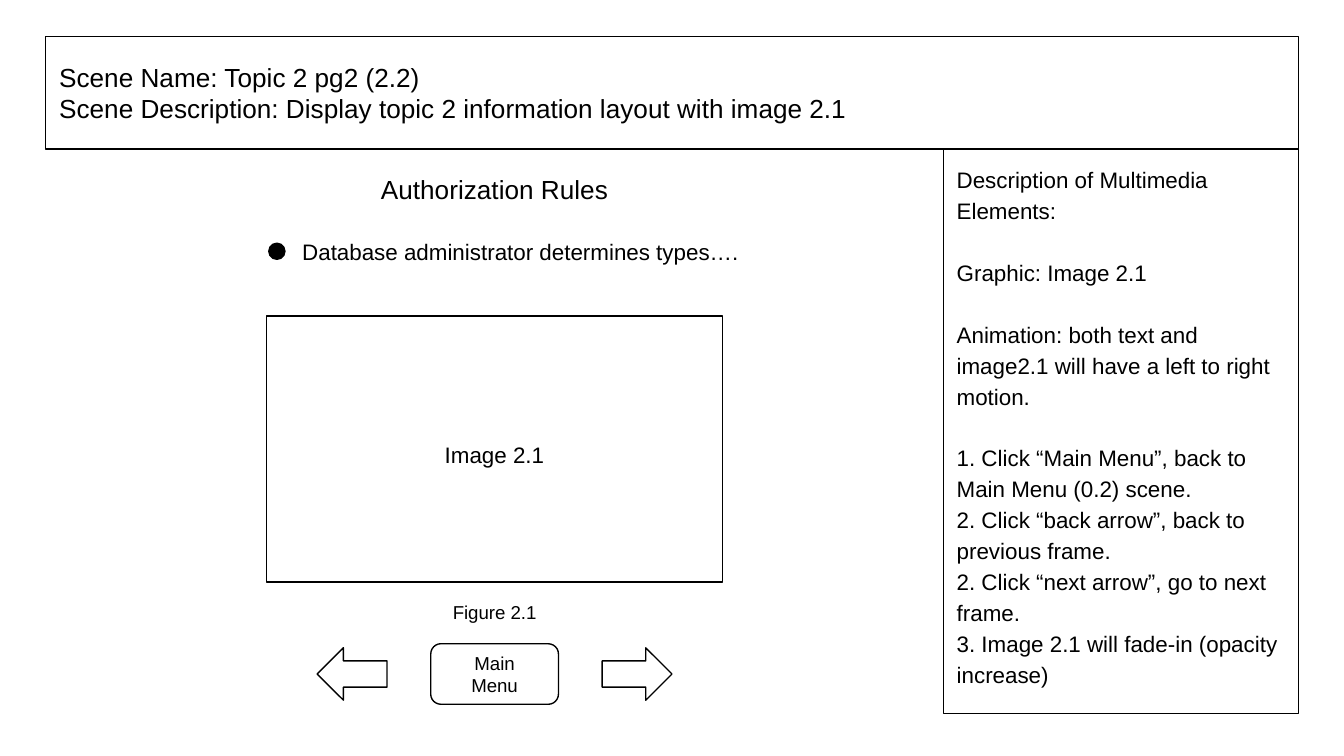
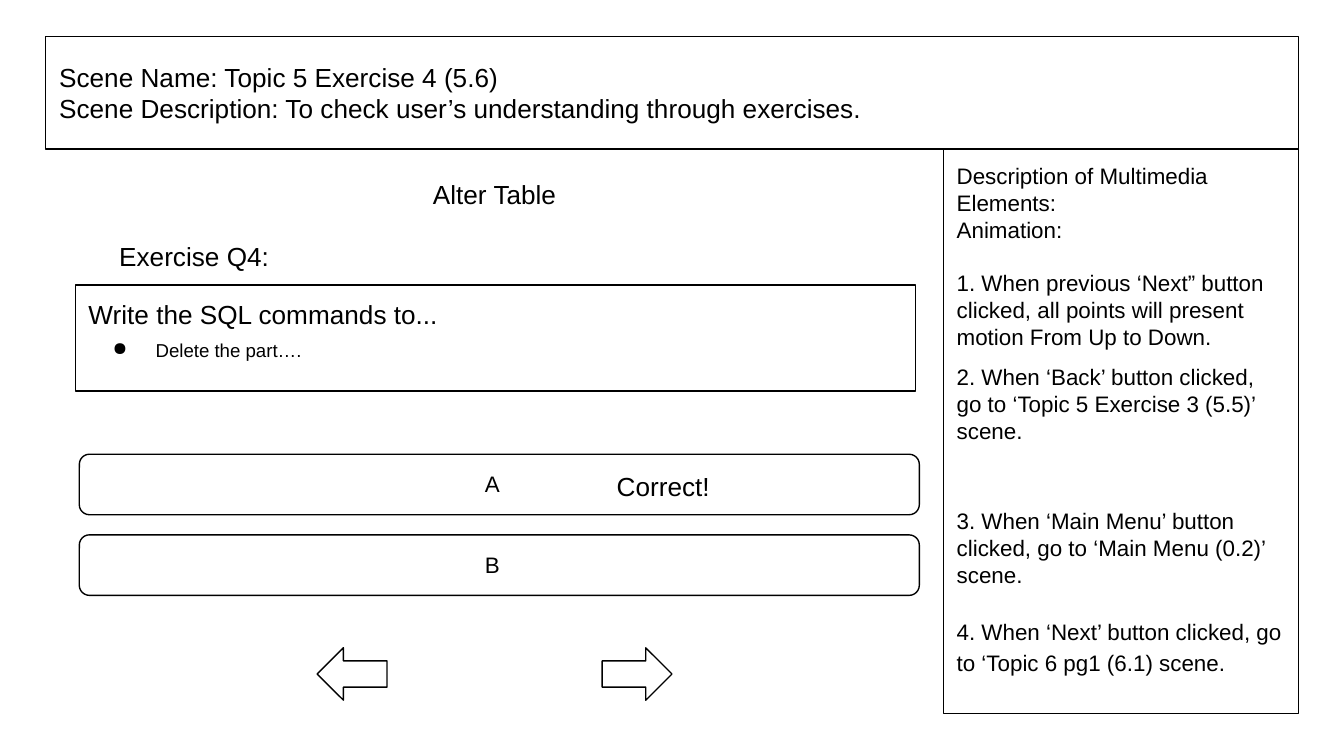
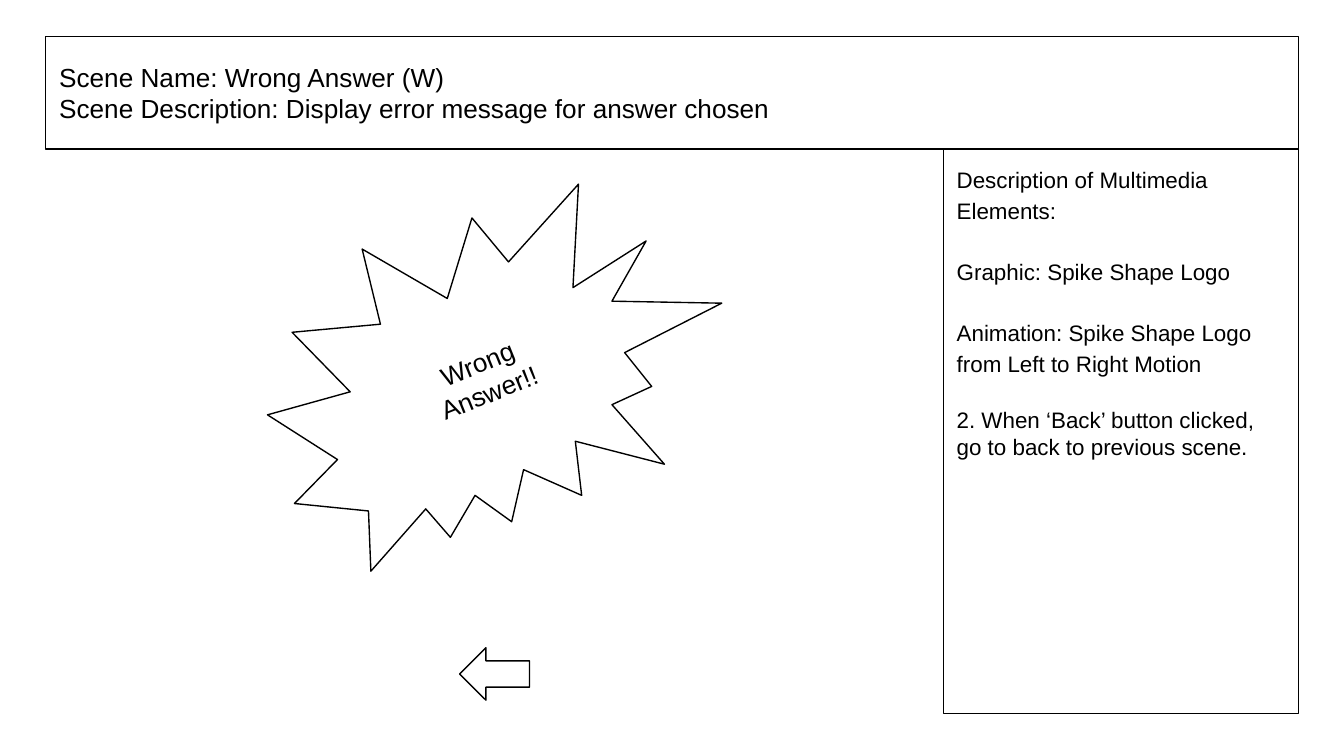
"""Build three storyboard pages that share a scene header, a notes panel and arrow buttons."""
from dataclasses import dataclass

import lxml.etree
import pptx
import pptx.dml.color
import pptx.enum.shapes
import pptx.enum.text
import pptx.oxml.ns
import pptx.util

BLACK = pptx.dml.color.RGBColor(0, 0, 0)
FONT = "Arial"
SLIDE_WIDTH = pptx.util.Inches(10)
SLIDE_HEIGHT = pptx.util.Inches(5.625)
GRID = SLIDE_WIDTH // 100
INSET = GRID
SCENE_SIZE, BODY_SIZE, SMALL_SIZE = 14, 12, 10
LOOSE = 1.15
BLANK_LINE = 16.5
SHORT_GAP, LINE_GAP, LONG_GAP = 7, 14, 34

SHAPE = pptx.enum.shapes.MSO_SHAPE
ALIGN = pptx.enum.text.PP_ALIGN
ANCHOR = pptx.enum.text.MSO_ANCHOR


@dataclass(frozen=True)
class Area:
    """A rectangle in grid columns and rows."""

    left: float
    top: float
    width: float
    height: float


@dataclass(frozen=True)
class Line:
    """A paragraph with its size, space after, line spacing and optional bullet."""

    text: str
    size: float = BODY_SIZE
    after: float = 0
    spacing: float = 1.0
    bullet: str = ""


HEADER = Area(3.4, 2.7, 93.2, 8.4)
PANEL = Area(70.2, 11.1, 26.4, 42)
STAGE_MIDDLE = (HEADER.left + PANEL.left) / 2
ARROW_OFFSET = 10.6
ANSWER_ROWS = {"A": 33.8, "B": 39.8}


def centered(top: float, width: float, height: float, offset: float = 0) -> Area:
    """Return an area centred on the stage, moved sideways by offset."""
    return Area(STAGE_MIDDLE + offset - width / 2, top, width, height)


def place(area: Area) -> list[int]:
    """Convert an area to slide lengths."""
    return [round(value * GRID) for value in (area.left, area.top, area.width, area.height)]


def outline(shape, filled: bool = False) -> None:
    """Give a shape a thin black line and a black or empty fill."""
    if filled:
        shape.fill.solid()
        shape.fill.fore_color.rgb = BLACK
    else:
        shape.fill.background()
    shape.line.color.rgb = BLACK
    shape.line.width = pptx.util.Pt(0.75)


def add_bullet(para, mark: str) -> None:
    """Give a paragraph a hanging bullet."""
    properties = para._p.get_or_add_pPr()
    properties.set("marL", str(5 * GRID))
    properties.set("indent", str(round(-3.2 * GRID)))
    tag = pptx.oxml.ns.qn("a:buChar")
    lxml.etree.SubElement(properties, tag).set("char", mark)


def write(shape, lines: list[Line], align=ALIGN.LEFT, anchor=ANCHOR.TOP) -> None:
    """Write and format lines of text in a shape."""
    frame = shape.text_frame
    frame.text = "\n".join(line.text for line in lines)
    frame.word_wrap = True
    frame.auto_size = pptx.enum.text.MSO_AUTO_SIZE.NONE
    frame.vertical_anchor = anchor
    frame.margin_left = frame.margin_right = INSET
    frame.margin_top = frame.margin_bottom = INSET
    for para, line in zip(frame.paragraphs, lines):
        para.alignment = align
        para.line_spacing = line.spacing
        para.space_before = pptx.util.Pt(0)
        para.space_after = pptx.util.Pt(line.after)
        if line.bullet:
            add_bullet(para, line.bullet)
        for span in para.runs:
            span.font.name = FONT
            span.font.size = pptx.util.Pt(line.size)
            span.font.color.rgb = BLACK


def add_outline(page, kind, area: Area, filled: bool = False):
    """Add an outlined preset shape."""
    shape = page.shapes.add_shape(kind, *place(area))
    shape.shadow.inherit = False
    outline(shape, filled)
    return shape


def add_label(page, area: Area, *lines: Line, align=ALIGN.CENTER, anchor=ANCHOR.MIDDLE):
    """Add a text box."""
    box = page.shapes.add_textbox(*place(area))
    write(box, list(lines), align, anchor)
    return box


def add_arrow(page, offset: float, back: bool = False) -> None:
    """Add a next or back arrow on the button row."""
    arrow = add_outline(page, SHAPE.RIGHT_ARROW, centered(48.2, 5.2, 3.9, offset))
    arrow.rotation = 180 if back else 0


def add_arrow_pair(page) -> None:
    """Add the next and back arrows on both sides of the stage middle."""
    add_arrow(page, ARROW_OFFSET)
    add_arrow(page, -ARROW_OFFSET, back=True)


def add_scene(deck, name: str, description: str, notes: list[Line]):
    """Add a page with its scene header and notes panel."""
    page = deck.slides.add_slide(deck.slide_layouts[5])
    title = page.shapes.title
    title.left, title.top, title.width, title.height = place(HEADER)
    outline(title)
    header = [
        Line(f"Scene Name: {name}", SCENE_SIZE),
        Line(f"Scene Description: {description}", SCENE_SIZE),
    ]
    write(title, header, anchor=ANCHOR.MIDDLE)
    notes = [Line("Description of Multimedia Elements:", after=notes[0].after
                  if notes[0].spacing > 1 else 0, spacing=notes[0].spacing), *notes]
    write(add_outline(page, SHAPE.RECTANGLE, PANEL), notes)
    return page


def build_topic(deck) -> None:
    """Build the topic page with its image frame and buttons."""
    notes = [
        Line("Graphic: Image 2.1", after=BLANK_LINE, spacing=LOOSE),
        Line("Animation: both text and image2.1 will have a left to right motion.",
             after=BLANK_LINE, spacing=LOOSE),
        Line("1. Click “Main Menu”, back to Main Menu (0.2) scene.", spacing=LOOSE),
        Line("2. Click “back arrow”, back to previous frame.", spacing=LOOSE),
        Line("2. Click “next arrow”, go to next frame.", spacing=LOOSE),
        Line("3. Image 2.1 will fade-in (opacity increase)", spacing=LOOSE),
    ]
    page = add_scene(deck, "Topic 2 pg2 (2.2)",
                     "Display topic 2 information layout with image 2.1", notes)
    add_label(page, centered(11.8, 19.1, 4.5), Line("Authorization Rules", SCENE_SIZE))
    add_outline(page, SHAPE.OVAL, Area(20, 18.1, 1.2, 1.2), filled=True)
    add_label(page, Area(21.5, 17, 35.1, 3.5),
              Line("Database administrator determines types…."), align=ALIGN.LEFT)
    add_arrow_pair(page)
    add_outline(page, SHAPE.ROUNDED_RECTANGLE, centered(47.9, 9.5, 4.5))
    add_label(page, centered(48.8, 7.6, 2.7), Line("Main Menu", SMALL_SIZE))
    add_outline(page, SHAPE.RECTANGLE, centered(23.5, 33.9, 19.8))
    add_label(page, centered(32.1, 11.6, 3.5), Line("Image 2.1"))
    add_label(page, centered(44.2, 9.5, 2.7), Line("Figure 2.1", SMALL_SIZE))


def build_exercise(deck) -> None:
    """Build the exercise page with its question and answer bars."""
    notes = [
        Line("Animation:", after=LINE_GAP),
        Line("1. When previous ‘Next” button clicked, all points will present "
             "motion From Up to Down.", after=SHORT_GAP),
        Line("2. When ‘Back’ button clicked, go to ‘Topic 5 Exercise 3 (5.5)’ scene.",
             after=LONG_GAP),
        Line("3. When ‘Main Menu’ button clicked, go to ‘Main Menu (0.2)’ scene.",
             after=LINE_GAP),
        Line("4. When ‘Next’ button clicked, go to ‘Topic 6 pg1 (6.1) scene.", spacing=LOOSE),
    ]
    page = add_scene(deck, "Topic 5 Exercise 4 (5.6)",
                     "To check user’s understanding through exercises.", notes)
    add_label(page, centered(12.2, 12.8, 4.5), Line("Alter Table", SCENE_SIZE))
    add_arrow_pair(page)
    add_label(page, Area(5.2, 16.8, 18.5, 4.5), Line("Exercise Q4:", SCENE_SIZE))
    question = add_outline(page, SHAPE.RECTANGLE, Area(5.6, 21.2, 62.5, 7.9))
    write(question, [
        Line("Write the SQL commands to...", SCENE_SIZE, after=5),
        Line("Delete the part….", SMALL_SIZE, after=5, bullet="●"),
    ])
    for top in ANSWER_ROWS.values():
        add_outline(page, SHAPE.ROUNDED_RECTANGLE, Area(5.9, top, 62.5, 4.5))
    add_label(page, Area(44.9, 34, 10.2, 3.9), Line("Correct!", SCENE_SIZE),
              align=ALIGN.LEFT, anchor=ANCHOR.TOP)
    for letter, top in ANSWER_ROWS.items():
        add_label(page, Area(35.1, top + 0.2, 3.5, 3.9), Line(letter),
                  align=ALIGN.LEFT, anchor=ANCHOR.TOP)


def build_wrong_answer(deck) -> None:
    """Build the error page with its spiked message."""
    notes = [
        Line("Graphic: Spike Shape Logo", after=16, spacing=LOOSE),
        Line("Animation: Spike Shape Logo from Left to Right Motion", after=16, spacing=LOOSE),
        Line("2. When ‘Back’ button clicked, go to back to previous scene."),
    ]
    page = add_scene(deck, "Wrong Answer (W)",
                     "Display error message for answer chosen", notes)
    add_arrow(page, 0, back=True)
    add_outline(page, SHAPE.EXPLOSION2, centered(13.7, 33.8, 28.8))
    message = add_label(page, Area(29.3, 24.6, 13.3, 7),
                        Line("Wrong", SCENE_SIZE), Line("Answer!!", SCENE_SIZE))
    message.rotation = 338


def main() -> None:
    """Build and save the deck."""
    deck = pptx.Presentation()
    deck.slide_width, deck.slide_height = SLIDE_WIDTH, SLIDE_HEIGHT
    build_topic(deck)
    build_exercise(deck)
    build_wrong_answer(deck)
    deck.save("out.pptx")


if __name__ == "__main__":
    main()
